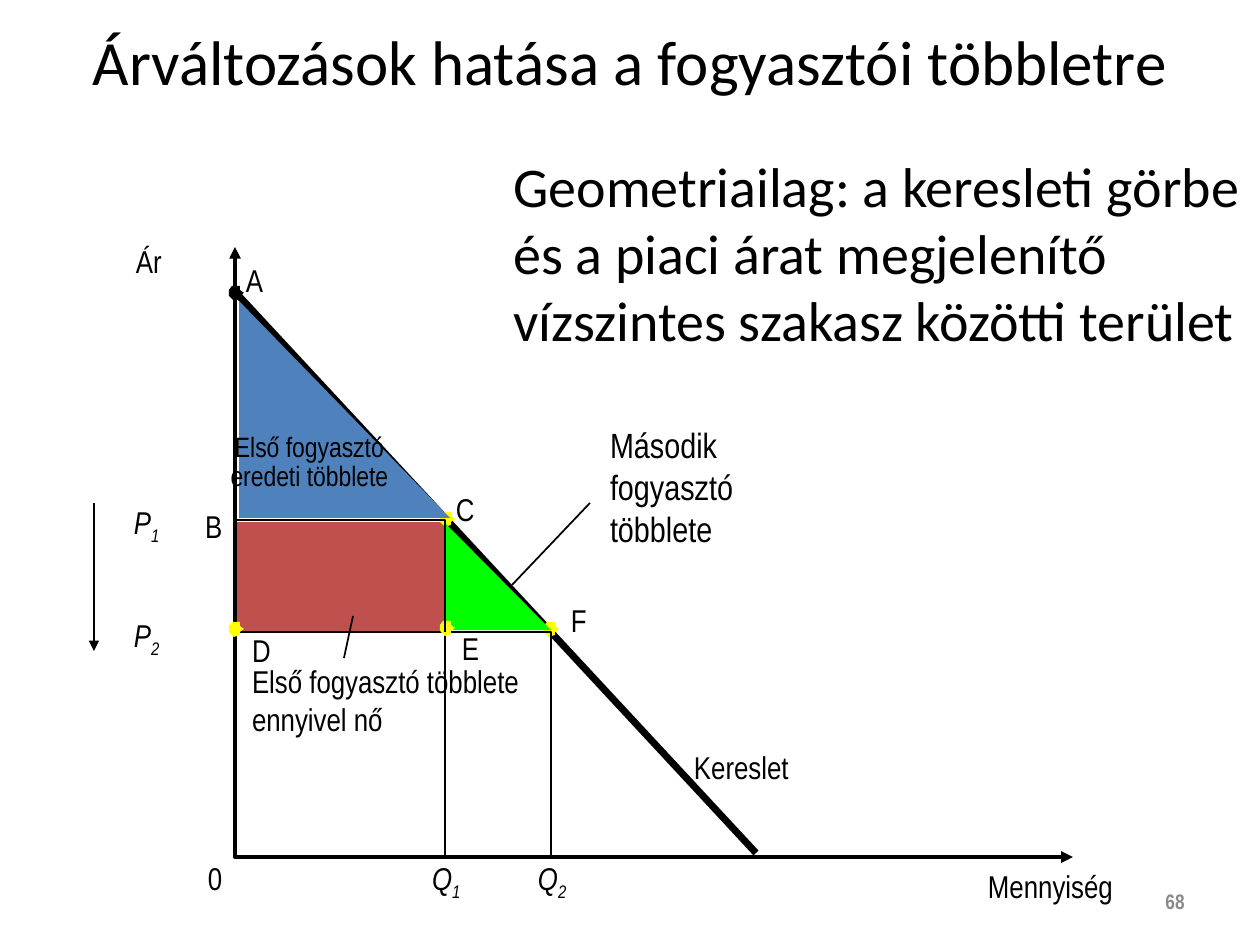
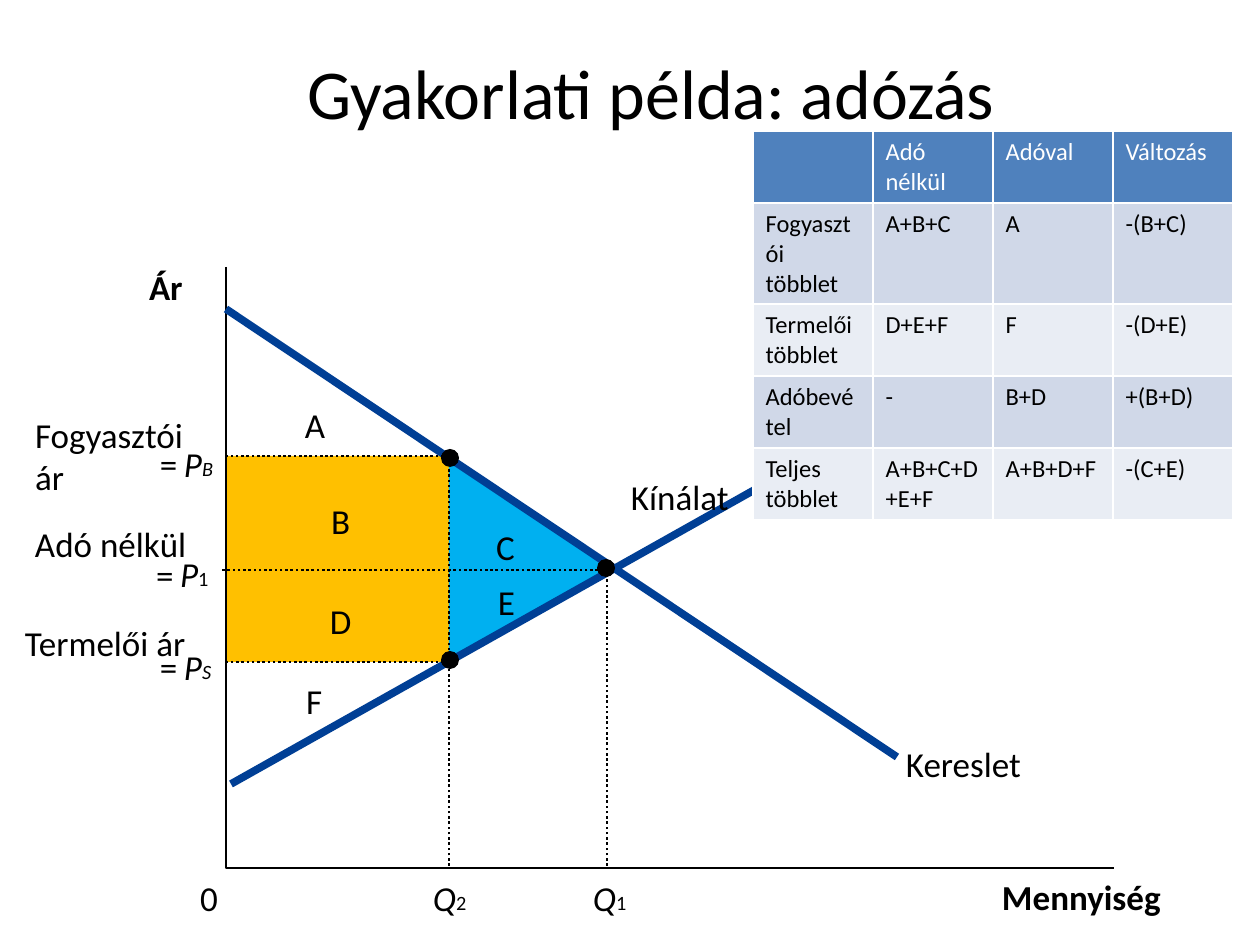
from dataclasses import dataclass

from lxml import etree
from pptx import Presentation
from pptx.dml.color import RGBColor
from pptx.enum.dml import MSO_LINE
from pptx.enum.shapes import MSO_CONNECTOR, MSO_SHAPE
from pptx.enum.text import MSO_ANCHOR, MSO_AUTO_SIZE, PP_ALIGN
from pptx.oxml.ns import qn
from pptx.util import Pt

PX = 914400 / 126
LEFT, CENTER, RIGHT = PP_ALIGN.LEFT, PP_ALIGN.CENTER, PP_ALIGN.RIGHT
TOP, MIDDLE = MSO_ANCHOR.TOP, MSO_ANCHOR.MIDDLE
RECT, OVAL, STRAIGHT = MSO_SHAPE.RECTANGLE, MSO_SHAPE.OVAL, MSO_CONNECTOR.STRAIGHT
DOTTED = MSO_LINE.ROUND_DOT


@dataclass(frozen=True)
class Theme:
    body: str = "Calibri"
    narrow: str = "Arial Narrow"
    ink: str = "000000"
    white: str = "FFFFFF"
    muted: str = "898989"
    blue: str = "4F81BD"
    red: str = "C0504D"
    green: str = "00FF00"
    yellow: str = "FFFF00"
    amber: str = "FFC000"
    cyan: str = "00B0F0"
    curve: str = "003F95"
    bands: tuple = ("D0D8E8", "E9EDF4")
    number: int = 12
    table: int = 14
    caption: int = 16
    label: int = 18
    large: int = 20
    statement: int = 32


T = Theme()

# Slide 1: consumer surplus
SURPLUS_TITLE = "Árváltozások hatása a fogyasztói többletre"
STATEMENT = ("Geometriailag: a keresleti görbe és a piaci árat megjelenítő "
             "vízszintes szakasz közötti terület")
ORIGIN_X, ORIGIN_Y = 235, 857
Q1_X, Q2_X, P1_Y, P2_Y = 445, 551, 520, 632
POINT_OUTLINE = [(5, 15), (11, 13), (11, 10), (15, 7), (11, 4), (11, 0),
                 (5, 0), (3, 0), (0, 4), (0, 7), (0, 10), (3, 13)]
# text, left, top, width, height; "_" starts a subscript
SURPLUS_LABELS = [
    ("Kereslet", 694, 748, 96, 38), ("Mennyiség", 988, 867, 126, 38),
    ("Ár", 136, 242, 26, 38), ("0", 208, 859, 14, 37),
    ("P_1", 134, 503, 30, 37), ("P_2", 134, 616, 30, 37),
    ("Q_1", 432, 859, 33, 37), ("Q_2", 538, 859, 33, 37),
    ("A", 246, 261, 16, 37), ("B", 205, 507, 18, 37), ("C", 456, 490, 18, 37),
    ("D", 252, 631, 18, 37), ("E", 462, 629, 16, 37), ("F", 571, 601, 15, 37),
]
# text, box, size, alignment, line spacing
SURPLUS_NOTES = [
    ("Első fogyasztó eredeti többlete", (227, 435, 165, 58), T.caption, CENTER, 0.85),
    ("Második fogyasztó többlete", (610, 423, 209, 170), T.large, LEFT, None),
    ("Első fogyasztó többlete ennyivel nő", (252, 662, 273, 115), T.label, LEFT, None),
]

# Slide 2: taxation
TAX_TITLE = "Gyakorlati példa: adózás"
AXIS_X, AXIS_Y = 226, 868
TAXED_X, FREE_X = 449, 607
BUYER_Y, FREE_Y, SELLER_Y = 456, 570, 662
TAX_LABELS = [
    ("A", 305, 403, 20, 43), ("F", 306, 679, 16, 43), ("B", 331, 499, 19, 43),
    ("D", 330, 599, 21, 43), ("C", 496, 525, 19, 43), ("E", 498, 580, 18, 43),
    ("0", 200, 876, 18, 43), ("Kereslet", 906, 742, 116, 43),
    ("Kínálat", 631, 475, 98, 43), ("Fogyasztói\nár", 35, 413, 158, 84),
    ("Termelői ár", 25, 621, 163, 43), ("Adó nélkül", 35, 522, 152, 43),
    ("=", 160, 442, 18, 43), ("P_B", 184, 442, 32, 43),
    ("=", 160, 645, 18, 43), ("P_S", 184, 645, 29, 43),
    ("=", 156, 553, 18, 43), ("P_1", 180, 552, 30, 43),
    ("Q_2", 433, 876, 35, 43), ("Q_1", 593, 876, 35, 43),
]
AXIS_NAMES = [("Mennyiség", 1002, 875, 160, 43), ("Ár", 149, 265, 34, 43)]
SURPLUS_TABLE = [
    ["", "Adó nélkül", "Adóval", "Változás"],
    ["Fogyasztói többlet", "A+B+C", "A", "-(B+C)"],
    ["Termelői többlet", "D+E+F", "F", "-(D+E)"],
    ["Adóbevétel", "-", "B+D", "+(B+D)"],
    ["Teljes többlet", "A+B+C+D+E+F", "A+B+D+F", "-(C+E)"],
]
COLUMN_WIDTH, ROW_HEIGHTS = 120, [72, 101, 72, 72, 72]


def px(*values):
    return [round(v * PX) for v in values]


def rgb(color):
    return RGBColor.from_string(color)


def add_run(p, text, size, font, color=T.ink, bold=False, italic=False, baseline=None):
    r = p.add_run()
    r.text = text
    f = r.font
    f.size, f.name, f.bold, f.italic = Pt(size), font, bold, italic
    f.color.rgb = rgb(color)
    if baseline is not None:
        r._r.get_or_add_rPr().set("baseline", str(baseline))


def add_text(slide, box, text, size, font, align=LEFT, spacing=None, wrap=True,
             inset=(0, 0), anchor=TOP, subscript=-25000, **style):
    tf = slide.shapes.add_textbox(*px(*box)).text_frame
    tf.word_wrap, tf.vertical_anchor = wrap, anchor
    tf.auto_size = MSO_AUTO_SIZE.SHAPE_TO_FIT_TEXT if anchor == TOP else MSO_AUTO_SIZE.NONE
    tf.margin_left = tf.margin_right = px(inset[0])[0]
    tf.margin_top = tf.margin_bottom = px(inset[1])[0]
    for i, line in enumerate(text.split("\n")):
        p = tf.add_paragraph() if i else tf.paragraphs[0]
        p.alignment = align
        if spacing:
            p.line_spacing = spacing
        base, _, sub = line.partition("_")
        add_run(p, base, size, font, italic=bool(sub), **style)
        if sub:
            slanted = subscript < 0 or sub.isalpha()
            add_run(p, sub, size, font, italic=slanted, baseline=subscript, **style)


def add_labels(slide, labels, size, font, **style):
    for text, *box in labels:
        add_text(slide, box, text, size, font, wrap=False, **style)


def set_title(slide, text, box, size, spacing=None):
    title = slide.shapes.title
    title.left, title.top, title.width, title.height = px(*box)
    tf = title.text_frame
    tf.vertical_anchor, tf.auto_size = TOP, MSO_AUTO_SIZE.NONE
    p = tf.paragraphs[0]
    p.alignment = CENTER
    if spacing:
        p.line_spacing = spacing
    add_run(p, text, size, T.body)


def style_line(line, color, width, dash=None, arrows=()):
    line.color.rgb, line.width = rgb(color), Pt(width)
    if dash:
        line.dash_style = dash
    for end in arrows:
        etree.SubElement(line._get_or_add_ln(), qn(f"a:{end}"), type="triangle")


def add_line(slide, start, end, color=T.ink, width=1.0, **style):
    c = slide.shapes.add_connector(STRAIGHT, *px(*start, *end))
    style_line(c.line, color, width, **style)
    etree.SubElement(c._element.spPr, qn("a:effectLst"))


def fill_plain(sp, color):
    sp.shadow.inherit = False
    sp.fill.solid()
    sp.fill.fore_color.rgb = rgb(color)
    sp.line.fill.background()


def add_solid(slide, kind, box, color):
    fill_plain(slide.shapes.add_shape(kind, *px(*box)), color)


def outline(slide, points, close):
    builder = slide.shapes.build_freeform(*points[0], scale=PX)
    builder.add_line_segments(points[1:], close=close)
    return builder.convert_to_shape()


def add_area(slide, points, color):
    fill_plain(outline(slide, points, True), color)


def add_path(slide, points, width, **style):
    sp = outline(slide, points, False)
    sp.shadow.inherit = False
    sp.fill.background()
    style_line(sp.line, T.ink, width, **style)


def add_point(slide, left, top, color=T.yellow):
    add_area(slide, [(left + x, top + y) for x, y in POINT_OUTLINE], color)


def add_surplus_table(slide, left, top):
    rows, cols = len(SURPLUS_TABLE), len(SURPLUS_TABLE[0])
    table = slide.shapes.add_table(
        rows, cols, *px(left, top, COLUMN_WIDTH * cols, sum(ROW_HEIGHTS))).table
    for column in table.columns:
        column.width = px(COLUMN_WIDTH)[0]
    for i, texts in enumerate(SURPLUS_TABLE):
        table.rows[i].height = px(ROW_HEIGHTS[i])[0]
        fill = T.bands[(i - 1) % 2] if i else T.blue
        for j, text in enumerate(texts):
            cell = table.cell(i, j)
            tcPr = cell._tc.get_or_add_tcPr()
            for side in "LRTB":
                ln = etree.SubElement(tcPr, qn(f"a:ln{side}"), w=str(Pt(1)))
                solid = etree.SubElement(ln, qn("a:solidFill"))
                etree.SubElement(solid, qn("a:srgbClr"), val=T.white)
            cell.fill.solid()
            cell.fill.fore_color.rgb = rgb(fill)
            if text:
                add_run(cell.text_frame.paragraphs[0], text, T.table, T.body,
                        T.ink if i else T.white)


def build_surplus(slide):
    set_title(slide, SURPLUS_TITLE, (63, 16, 1134, 158), 36)
    add_solid(slide, RECT, (233, 522, 218, 110), T.red)
    add_line(slide, (238, 295), (756, 853), width=4)
    add_point(slide, 229, 286, T.ink)
    add_path(slide, [(ORIGIN_X, 247), (ORIGIN_X, ORIGIN_Y), (1073, ORIGIN_Y)], 2.25,
             arrows=("headEnd", "tailEnd"))
    add_point(slide, 440, 512)
    add_path(slide, [(ORIGIN_X, P1_Y), (Q1_X, P1_Y), (Q1_X, ORIGIN_Y)], 1)
    add_area(slide, [(239, 301), (239, 518), (450, 518)], T.blue)
    add_point(slide, 544, 622)
    add_path(slide, [(ORIGIN_X, P2_Y), (Q2_X, P2_Y), (Q2_X, ORIGIN_Y)], 1)
    add_point(slide, 229, 622)
    add_area(slide, [(Q1_X, 523), (Q1_X, 630), (Q2_X, 630)], T.green)
    add_point(slide, 440, 621)
    add_line(slide, (Q1_X, P1_Y), (Q1_X, P2_Y))
    add_line(slide, (512, 585), (590, 503))
    add_line(slide, (353, 616), (344, 658))
    add_line(slide, (94, 503), (94, 651), width=1.5, arrows=("tailEnd",))
    add_labels(slide, SURPLUS_LABELS, T.label, T.narrow)
    for text, box, size, align, spacing in SURPLUS_NOTES:
        add_text(slide, box, text, size, T.narrow, align, spacing)
    add_text(slide, (501, 145, 754, 217), STATEMENT, T.statement, T.body, inset=(12.6, 6.3))
    add_text(slide, (903, 876, 294, 50), "68", T.number, T.narrow, RIGHT,
             inset=(12.6, 6.3), anchor=MIDDLE, color=T.muted, bold=True)


def build_tax(slide):
    set_title(slide, TAX_TITLE, (84, 59, 1134, 158), 40, 0.8)
    add_solid(slide, RECT, (227, BUYER_Y, 223, 206), T.amber)
    add_area(slide, [(TAXED_X, 459), (TAXED_X, SELLER_Y), (614, FREE_Y)], T.cyan)
    add_path(slide, [(AXIS_X, 267), (AXIS_X, AXIS_Y), (1114, AXIS_Y)], 1.5)
    add_line(slide, (226, 309), (897, 757), T.curve, 4.38)
    add_line(slide, (902, 407), (231, 784), T.curve, 4.38)
    add_line(slide, (TAXED_X, SELLER_Y), (AXIS_X, SELLER_Y), width=1.5, dash=DOTTED)
    for x, y, left in [(TAXED_X, BUYER_Y, 223), (FREE_X, FREE_Y, 221)]:
        add_path(slide, [(x, 866), (x, y), (left, y)], 1.5, dash=DOTTED)
    for left, top in [(441, 449), (441, 651), (597, 559)]:
        add_solid(slide, OVAL, (left, top, 18, 18), T.ink)
    add_labels(slide, TAX_LABELS, T.large, T.body, subscript=2000)
    add_labels(slide, AXIS_NAMES, T.large, T.body, bold=True)
    add_surplus_table(slide, 753, 131)


def main():
    prs = Presentation()
    prs.slide_width, prs.slide_height = px(1260, 945)
    title_only = prs.slide_layouts[5]
    for build in (build_surplus, build_tax):
        build(prs.slides.add_slide(title_only))
    prs.save("out.pptx")


if __name__ == "__main__":
    main()
